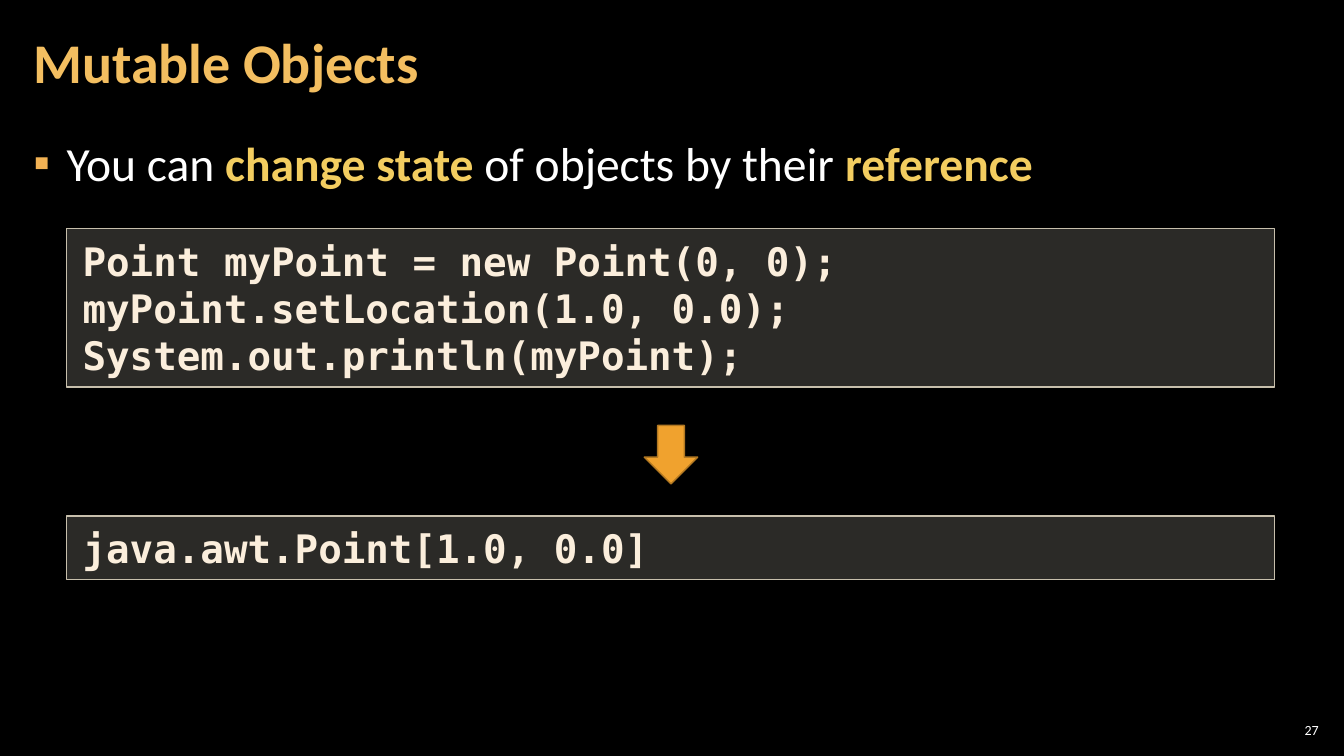
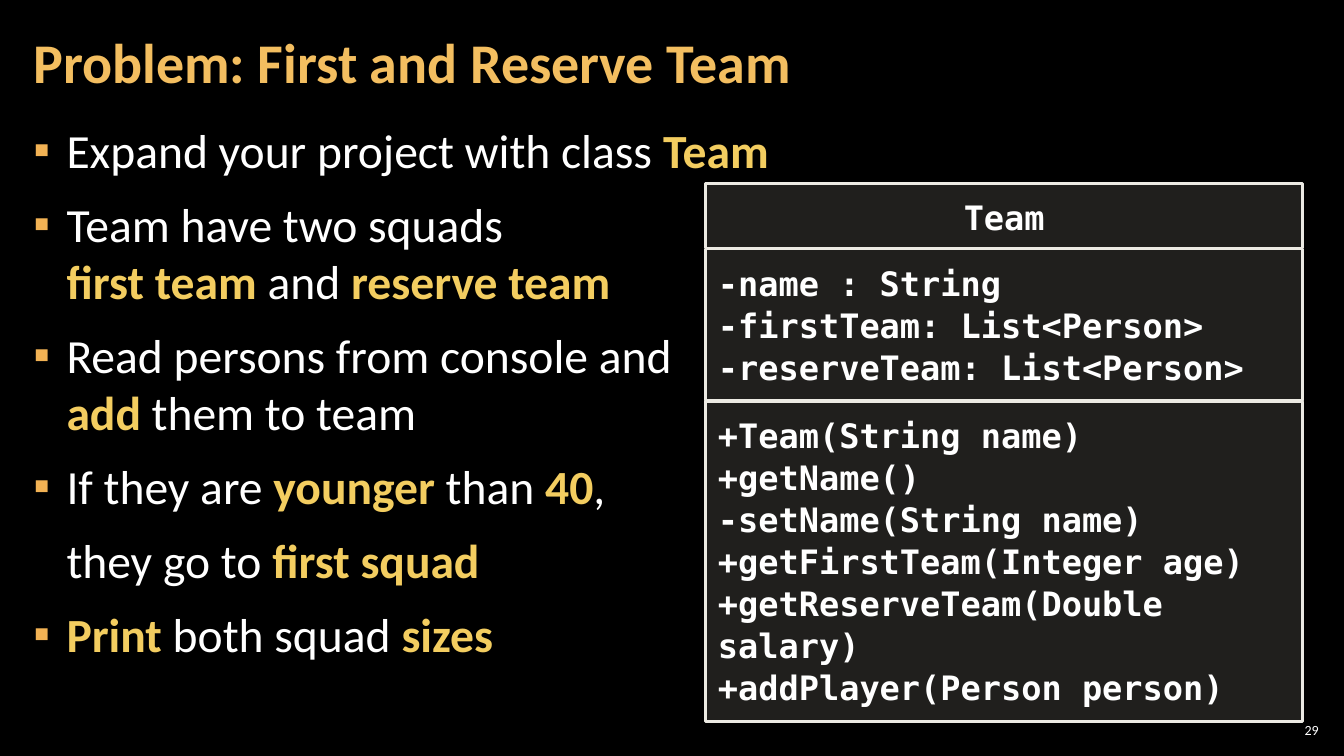
import pptx
import pptx.util
import pptx.dml.color
import pptx.enum.shapes
import pptx.enum.text
import pptx.oxml.ns
import lxml.etree

Inches, Pt = pptx.util.Inches, pptx.util.Pt
RGB = pptx.dml.color.RGBColor
Align = pptx.enum.text.PP_ALIGN
Anchor = pptx.enum.text.MSO_ANCHOR
Shape = pptx.enum.shapes.MSO_SHAPE
qn = pptx.oxml.ns.qn

BLACK = RGB(0x00, 0x00, 0x00)
WHITE = RGB(0xFF, 0xFF, 0xFF)
TITLE = RGB(0xF3, 0xBE, 0x60)
ACCENT = RGB(0xF3, 0xCD, 0x60)
BULLET = RGB(0xF2, 0xB2, 0x54)
PANEL = RGB(0xD9, 0xD5, 0xC7)
CODE = RGB(0xFB, 0xEE, 0xDC)
CODE_EDGE = RGB(0xC7, 0xBF, 0xAC)
CLASS_EDGE = RGB(0xEC, 0xEA, 0xE3)
ARROW = RGB(0xF0, 0xA2, 0x2E)
ARROW_EDGE = RGB(0xB2, 0x78, 0x22)

SANS = "Calibri"
MONO = "DejaVu Sans Mono"
INDENT = 0.33


def place(shape, left, top, width, height):
    shape.left, shape.top = Inches(left), Inches(top)
    shape.width, shape.height = Inches(width), Inches(height)


def set_frame(frame, side, edge, anchor=Anchor.TOP):
    frame.word_wrap = True
    frame.auto_size = pptx.enum.text.MSO_AUTO_SIZE.NONE
    frame.vertical_anchor = anchor
    frame.margin_left = frame.margin_right = Inches(side)
    frame.margin_top = frame.margin_bottom = Inches(edge)


def set_font(font, name, size, color, bold=False):
    font.name, font.size, font.bold = name, Pt(size), bold
    font.color.rgb = color


def add_base(deck, title, number):
    """Add a slide with the shared title and page number."""
    slide = deck.slides.add_slide(deck.slide_layouts[1])
    head = slide.shapes.title
    place(head, 0.21, 0.04, 10.47, 1.21)
    set_frame(head.text_frame, 0.12, 0.04, Anchor.MIDDLE)
    head.text_frame.text = title
    para = head.text_frame.paragraphs[0]
    para.alignment, para.line_spacing = Align.LEFT, 0.9
    set_font(para.font, SANS, 40, TITLE, True)

    page = slide.shapes.add_textbox(
        Inches(12.65), Inches(7.14), Inches(0.47), Inches(0.21))
    set_frame(page.text_frame, 0.04, 0.04, Anchor.MIDDLE)
    para = page.text_frame.paragraphs[0]
    para.text, para.alignment = str(number), Align.RIGHT
    set_font(para.font, SANS, 10, WHITE)
    return slide


def set_bullet(para, shown):
    props = para._p.get_or_add_pPr()
    props.set("marL", str(Inches(INDENT)))
    props.set("indent", str(-Inches(INDENT) if shown else 0))
    if shown:
        tint = lxml.etree.SubElement(props, qn("a:buClr"))
        lxml.etree.SubElement(tint, qn("a:srgbClr"), val=str(BULLET))
        lxml.etree.SubElement(props, qn("a:buChar"), char="▪")
    else:
        lxml.etree.SubElement(props, qn("a:buNone"))


def add_rich(para, text):
    """Add runs; text between asterisks is accented, a newline breaks the line."""
    for part, words in enumerate(text.split("*")):
        for row, line in enumerate(words.split("\n")):
            if row:
                para.add_line_break()
            if line:
                run = para.add_run()
                run.text = line
                if part % 2:
                    run.font.bold = True
                    run.font.color.rgb = ACCENT


def fill_body(slide, box, items, spacing=1.0):
    """Fill the body with (text, has bullet) items."""
    body = slide.placeholders[1]
    place(body, *box)
    frame = body.text_frame
    set_frame(frame, 0.12, 0.04)
    for count, (text, shown) in enumerate(items):
        para = frame.add_paragraph() if count else frame.paragraphs[0]
        set_bullet(para, shown)
        para.alignment, para.line_spacing = Align.LEFT, spacing
        para.space_before = para.space_after = Pt(6)
        set_font(para.font, SANS, 34, WHITE)
        add_rich(para, text)


def add_solid(shapes, kind, box, fill, edge, weight):
    shape = shapes.add_shape(kind, *map(Inches, box))
    shape.shadow.inherit = False
    shape.fill.solid()
    shape.fill.fore_color.rgb = fill
    shape.line.color.rgb = edge
    shape.line.width = Pt(weight)
    return shape


def add_panel(shapes, box, edge, weight, opacity):
    panel = add_solid(shapes, Shape.RECTANGLE, box, PANEL, edge, weight)
    color = panel._element.spPr.find(qn("a:solidFill")).find(qn("a:srgbClr"))
    lxml.etree.SubElement(color, qn("a:alpha"), val=str(opacity * 1000))
    return panel


def write_code(panel, lines, size, color, align=Align.LEFT, spacing=None):
    panel.text_frame.text = "\n".join(lines)
    for para in panel.text_frame.paragraphs:
        para.alignment, para.line_spacing = align, spacing
        set_font(para.font, MONO, size, color, True)


def add_code(slide, top, height, lines):
    panel = add_panel(slide.shapes, (0.66, top, 11.98, height),
                      CODE_EDGE, 1, 20)
    set_frame(panel.text_frame, 0.16, 0.08)
    write_code(panel, lines, 28, CODE)


def add_class(slide, left, top, width, parts):
    """Stack (height, alignment, lines) parts as one class diagram."""
    group = slide.shapes.add_group_shape()
    for height, align, lines in parts:
        panel = add_panel(group.shapes, (left, top, width, height),
                          CLASS_EDGE, 2, 15)
        set_frame(panel.text_frame, 0.12, 0.12)
        write_code(panel, lines, 24, WHITE, align, Pt(30))
        top += height + 0.01


def add_mutable(deck):
    slide = add_base(deck, "Mutable Objects", 27)
    fill_body(slide, (0.21, 1.26, 12.91, 6.09), [
        ("You can *change state* of objects by their *reference*", True),
    ], 1.05)
    add_code(slide, 2.27, 1.57, [
        "Point myPoint = new Point(0, 0);",
        "myPoint.setLocation(1.0, 0.0);",
        "System.out.println(myPoint);",
    ])
    add_solid(slide.shapes, Shape.DOWN_ARROW, (6.39, 4.22, 0.53, 0.58),
              ARROW, ARROW_EDGE, 1)
    add_code(slide, 5.12, 0.63, ["java.awt.Point[1.0, 0.0]"])


def add_team(deck):
    slide = add_base(deck, "Problem: First and Reserve Team", 29)
    fill_body(slide, (0.21, 1.16, 7.71, 6.09), [
        ("Expand your project with class *Team*", True),
        ("Team have two squads\n*first team* and *reserve team*", True),
        ("Read persons from console and\n*add* them to team", True),
        ("If they are *younger* than *40*,", True),
        ("they go to *first squad*", False),
        ("*Print* both squad *sizes*", True),
    ])
    add_class(slide, 7, 1.82, 5.92, [
        (0.64, Align.CENTER, ["Team"]),
        (1.5, Align.LEFT, [
            "-name : String",
            "-firstTeam: List<Person>",
            "-reserveTeam: List<Person>",
        ]),
        (3.18, Align.LEFT, [
            "+Team(String name)",
            "+getName()",
            "-setName(String name)",
            "+getFirstTeam(Integer age)",
            "+getReserveTeam(Double salary)",
            "+addPlayer(Person person)",
        ]),
    ])


def main():
    deck = pptx.Presentation()
    deck.slide_width, deck.slide_height = Inches(13.33), Inches(7.5)
    back = deck.slide_master.background.fill
    back.solid()
    back.fore_color.rgb = BLACK
    add_mutable(deck)
    add_team(deck)
    deck.save("out.pptx")


if __name__ == "__main__":
    main()
